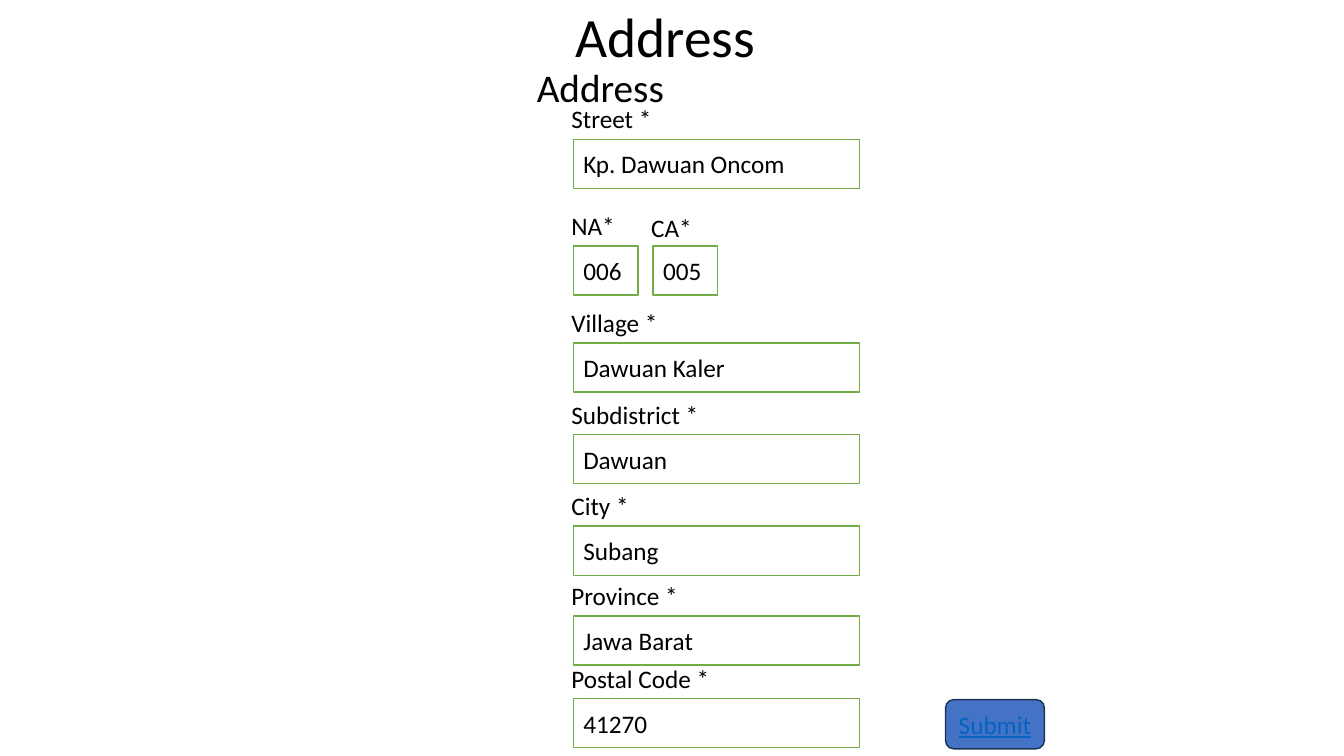
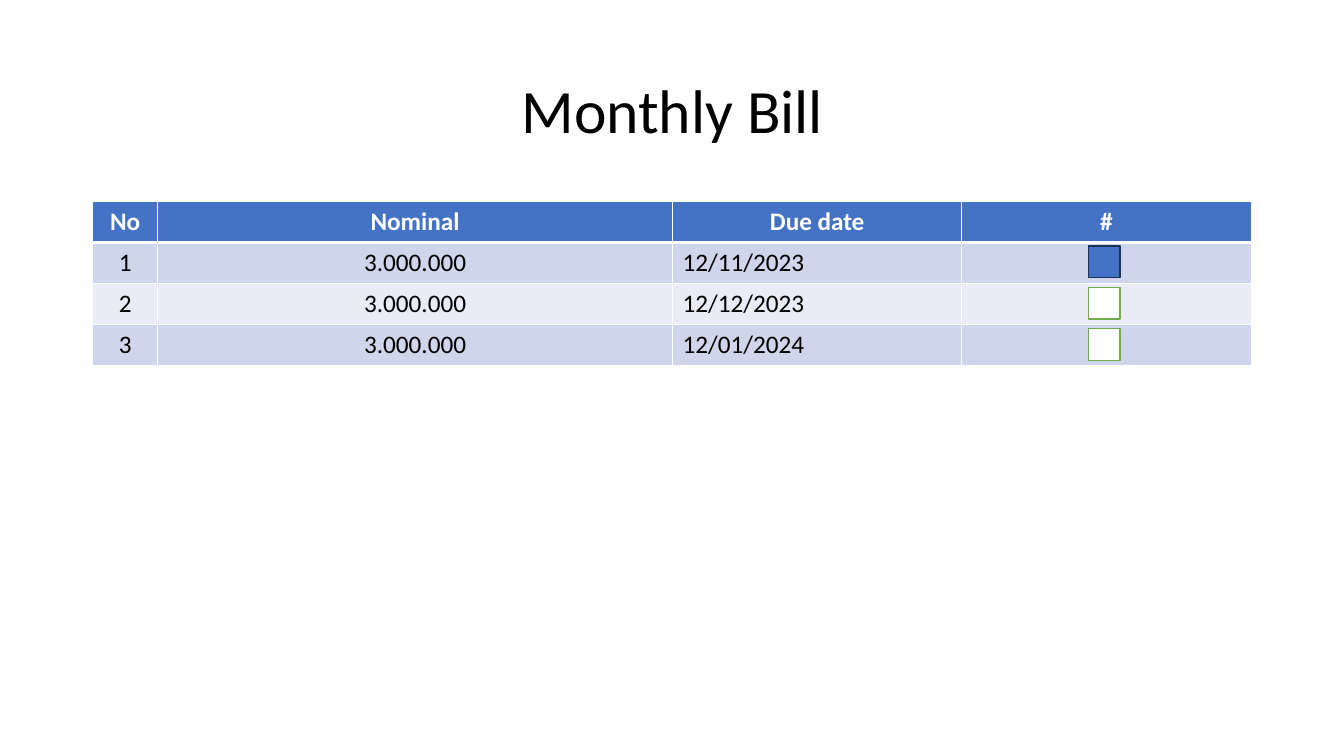
from pptx import Presentation
from pptx.dml.color import RGBColor
from pptx.enum.shapes import MSO_SHAPE
from pptx.enum.text import MSO_ANCHOR, MSO_AUTO_SIZE, PP_ALIGN
from pptx.util import Cm, Pt
from lxml.etree import SubElement
from pptx.oxml.ns import qn

BLACK, WHITE = "000000", "FFFFFF"
GREEN, BLUE, NAVY, LINK = "70AD47", "4472C4", "1E3256", "0563C1"
BANDS = ("CFD5EA", "E9EBF5")
FIELDS = (
    ("Street *", 2.57, "Kp. Dawuan Oncom", 14.45, 3.51, 7.21, 1.02),
    ("NA*", 1.63, "006", 14.45, 6.2, 1.63, 1.02),
    ("CA*", 1.55, "005", 16.46, 6.2, 1.63, 0.97),
    ("Village *", 2.72, "Dawuan Kaler", 14.45, 8.64, 7.21, 1.02),
    ("Subdistrict *", 3.76, "Dawuan", 14.45, 10.95, 7.21, 1.02),
    ("City *", 1.98, "Subang", 14.45, 13.26, 7.21, 1.02),
    ("Province *", 3.23, "Jawa Barat", 14.45, 15.52, 7.21, 1.02),
    ("Postal Code *", 4.01, "41270", 14.45, 17.6, 7.21, 1.02),
)
BILLS = (
    ("No", "Nominal", "Due date", "#"),
    ("1", "3.000.000", "12/11/2023", ""),
    ("2", "3.000.000", "12/12/2023", ""),
    ("3", "3.000.000", "12/01/2024", ""),
)


def color(code):
    return RGBColor.from_string(code)


class Deck:
    face = "Calibri"

    def __init__(self):
        self.show = Presentation()
        self.show.slide_width = Cm(33.87)
        self.show.slide_height = Cm(19.05)
        self.slide = None

    def style(self, frame, text, size=18, ink=BLACK, align=PP_ALIGN.LEFT, bold=False):
        frame.text = text
        para = frame.paragraphs[0]
        para.alignment = align
        font = para.font
        font.name, font.size, font.bold = self.face, Pt(size), bold
        font.color.rgb = color(ink)
        return para

    def page(self, title, left, top, height, size):
        self.slide = self.show.slides.add_slide(self.show.slide_layouts[5])
        head = self.slide.shapes.title
        head.left, head.top = Cm(left), Cm(top)
        head.width, head.height = Cm(29.21), Cm(height)
        frame = head.text_frame
        frame.auto_size = MSO_AUTO_SIZE.NONE
        frame.vertical_anchor = MSO_ANCHOR.MIDDLE
        para = self.style(frame, title, size, align=PP_ALIGN.CENTER)
        para.line_spacing = 0.9

    def label(self, text, left, top, width, height=1.02, size=18, wrap=False):
        box = self.slide.shapes.add_textbox(Cm(left), Cm(top), Cm(width), Cm(height))
        box.text_frame.word_wrap = wrap
        return self.style(box.text_frame, text, size)

    def box(self, left, top, width, height, fill=WHITE, edge=GREEN, kind=MSO_SHAPE.RECTANGLE):
        shape = self.slide.shapes.add_shape(kind, Cm(left), Cm(top), Cm(width), Cm(height))
        shape.shadow.inherit = False
        shape.fill.solid()
        shape.fill.fore_color.rgb = color(fill)
        shape.line.color.rgb = color(edge)
        shape.line.width = Pt(1)
        shape.text_frame.vertical_anchor = MSO_ANCHOR.MIDDLE
        return shape

    def field(self, name, span, value, left, top, width, rise):
        shape = self.box(left, top, width, 1.24)
        self.style(shape.text_frame, value)
        self.label(name, left - 0.3, top - rise, span)

    def button(self, text, left, top, width, height):
        shape = self.box(left, top, width, height, BLUE, NAVY, MSO_SHAPE.ROUNDED_RECTANGLE)
        shape.text_frame.word_wrap = False
        para = self.style(shape.text_frame, text, ink=LINK, align=PP_ALIGN.CENTER)
        para.font.underline = True

    def border(self, cell, base):
        props = cell._tc.get_or_add_tcPr()
        for side, width in (("L", 1), ("R", 1), ("T", 1), ("B", base)):
            line = SubElement(props, qn(f"a:ln{side}"), w=str(Pt(width)))
            SubElement(SubElement(line, qn("a:solidFill")), qn("a:srgbClr"), val=WHITE)

    def table(self, rows, left, top, widths, height):
        grid = self.slide.shapes.add_table(
            len(rows), len(widths), Cm(left), Cm(top), Cm(sum(widths)), Cm(height * len(rows))
        ).table
        for col, width in zip(grid.columns, widths):
            col.width = Cm(width)
        for i, row in enumerate(rows):
            grid.rows[i].height = Cm(height)
            head = i == 0
            for j, text in enumerate(row):
                cell = grid.cell(i, j)
                self.border(cell, 3 if head else 1)
                cell.fill.solid()
                cell.fill.fore_color.rgb = color(BLUE if head else BANDS[(i - 1) % 2])
                align = PP_ALIGN.CENTER if head or j < 2 else PP_ALIGN.LEFT
                self.style(cell.text_frame, text, ink=WHITE if head else BLACK, align=align, bold=head)


def main():
    deck = Deck()

    deck.page("Address", 2.16, 0.18, 1.63, 39.6)
    para = deck.label("Address", 13.28, 1.6, 8.69, 15.88, 28, True)
    para.line_spacing = 0.9
    for field in FIELDS:
        deck.field(*field)
    deck.button("Submit", 23.83, 17.63, 2.49, 1.24)

    deck.page("Monthly Bill", 2.34, 1.02, 3.68, 44)
    deck.table(BILLS, 2.34, 5.08, (1.63, 12.98, 7.29, 7.29), 1.03)
    for i, (fill, edge) in enumerate(((BLUE, NAVY), (WHITE, GREEN), (WHITE, GREEN))):
        deck.box(27.43, 6.2 + 1.04 * i, 0.8, 0.8, fill, edge)

    deck.show.save("out.pptx")


if __name__ == "__main__":
    main()
